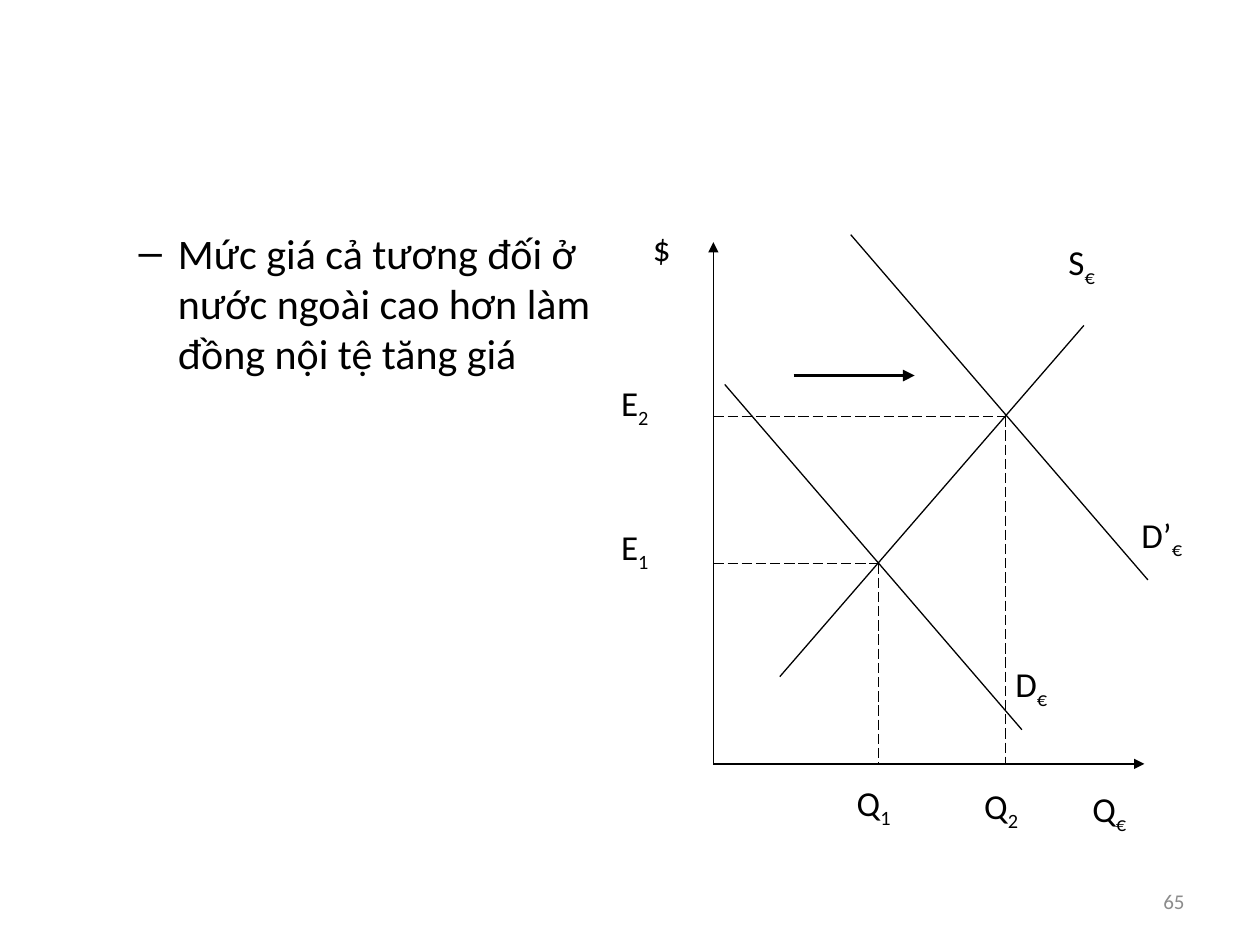
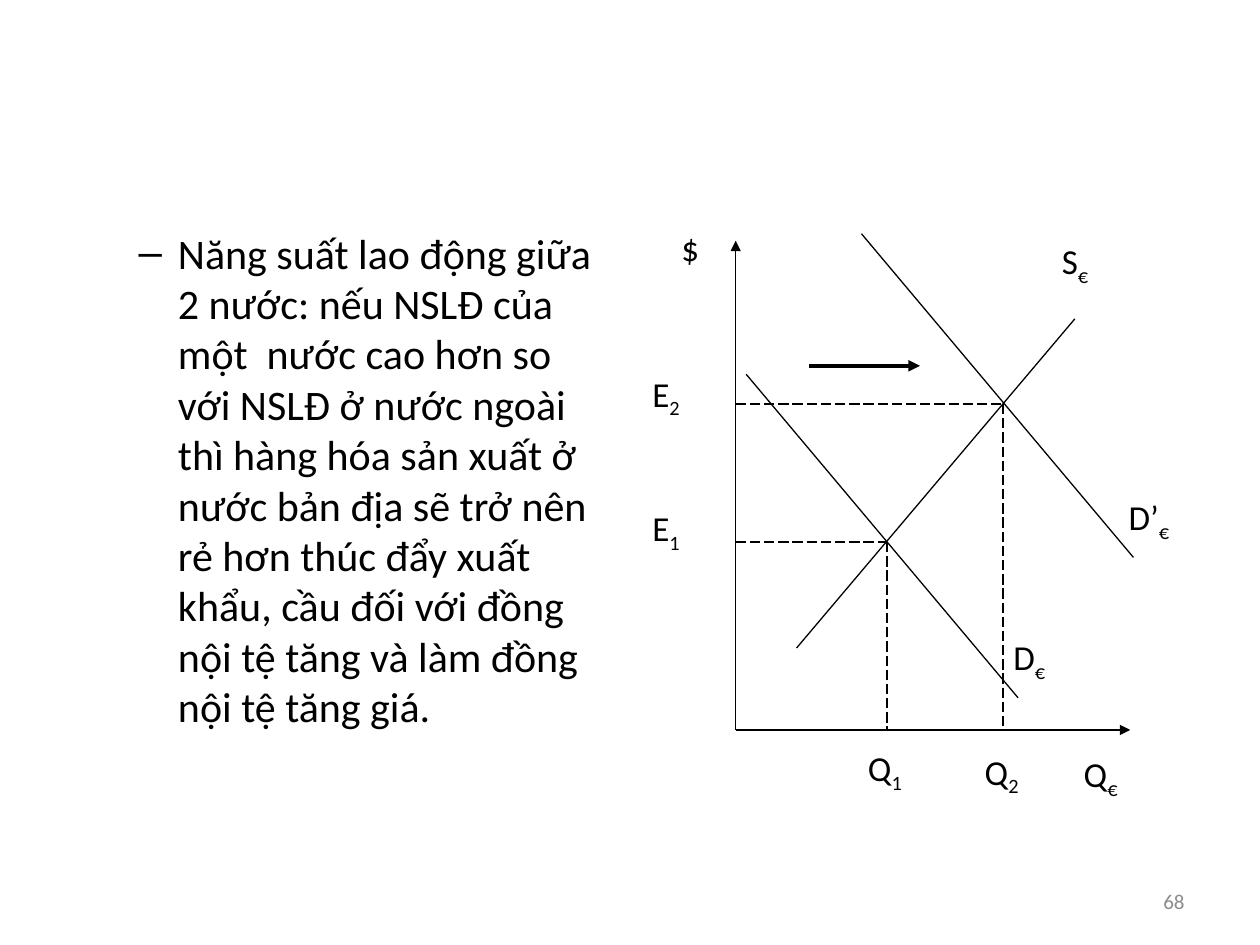
"""Build two slides on how a rise in euro demand moves the exchange rate."""
from lxml.etree import SubElement
from pptx import Presentation
from pptx.dml.color import RGBColor
from pptx.enum.dml import MSO_LINE
from pptx.enum.shapes import MSO_CONNECTOR, MSO_SHAPE
from pptx.enum.text import MSO_ANCHOR as Anchor, MSO_AUTO_SIZE, PP_ALIGN as Align
from pptx.oxml.ns import qn
from pptx.util import Cm, Pt

INK, PAPER, GREY = "000000", "FFFFFF", "8C8C8C"
TOP = 4.45
FULL_WIDTH, FULL_HEIGHT = 12.27, 13.41
LABEL_WIDTH, LABEL_HEIGHT = 1.78, 2.11

AXIS_X, AXIS_Y = 2.11, 10.95
Q1, E1 = 5.44, 6.91
Q2, E2 = 8.0, 3.94
DEMAND = (2.34, 3.3, 8.33, 10.26)
SHIFT_X, SHIFT_Y = 2.54, -3.02
SHIFTED_DEMAND = tuple(v + s for v, s in zip(DEMAND, (SHIFT_X, SHIFT_Y) * 2))
SUPPLY = (3.45, 9.19, 9.58, 2.11)
SHIFT_ARROW = (3.73, 3.12, 6.17, 3.12)

LABELS = [
    ("D", "€", 7.95, 8.79, LABEL_WIDTH),
    ("Q", "€", 9.5, 11.3, LABEL_WIDTH),
    ("Q", "2", 7.32, 11.25, LABEL_WIDTH),
    ("Q", "1", 4.75, 11.18, LABEL_WIDTH),
    ("$", "", 0.64, 0, 1.17),
    ("E", "2", 0, 3.12, 1.9),
    ("S", "€", 9.02, 0.28, LABEL_WIDTH),
    ("E", "1", 0, 6.02, 1.88),
    ("D’", "€", 10.49, 5.77, LABEL_WIDTH),
]

SLIDES = [
    ("Mức giá cả tương đối ở nước ngoài cao hơn làm đồng nội tệ tăng giá",
     "65", (12.27, FULL_WIDTH, FULL_HEIGHT)),
    ("Năng suất lao động giữa 2 nước: nếu NSLĐ của một  nước cao hơn so với "
     "NSLĐ ở nước ngoài thì hàng hóa sản xuất ở nước bản địa sẽ trở nên rẻ hơn "
     "thúc đẩy xuất khẩu, cầu đối với đồng nội tệ tăng và làm đồng nội tệ tăng giá.",
     "68", (12.9, 11.23, 12.57)),
]


def colour(hex_value):
    return RGBColor.from_string(hex_value)


def apply(target, **formats):
    for name, value in formats.items():
        setattr(target, name, value)


class Deck:
    def __init__(self):
        self.presentation = Presentation()
        apply(self.presentation, slide_width=Cm(25.4), slide_height=Cm(19.05))
        self.slide = None
        self.frame = None

    def new_slide(self, frame):
        layout = self.presentation.slide_layouts[1]
        self.slide = self.presentation.slides.add_slide(layout)
        self.frame = frame
        title = self.slide.shapes.title.element
        title.getparent().remove(title)

    def point(self, x, y):
        left, width, height = self.frame
        return (Cm(left + x * width / FULL_WIDTH),
                Cm(TOP + y * height / FULL_HEIGHT))

    def styled_run(self, paragraph, text, size, ink=INK):
        run = paragraph.add_run()
        run.text = text
        apply(run.font, name="Calibri", size=Pt(size))
        run.font.color.rgb = colour(ink)
        return run

    def body(self, statement):
        body = self.slide.placeholders[1]
        apply(body, left=Cm(1.27), top=Cm(TOP), width=Cm(11.23), height=Cm(12.57))
        apply(body.text_frame, auto_size=MSO_AUTO_SIZE.NONE, word_wrap=True)
        paragraph = body.text_frame.paragraphs[0]
        paragraph.level = 1
        self.styled_run(paragraph, statement, 24)

    def page_number(self, number):
        box = self.slide.shapes.add_textbox(Cm(18.21), Cm(17.65), Cm(5.92), Cm(1.02))
        apply(box.text_frame, word_wrap=True, vertical_anchor=Anchor.MIDDLE)
        paragraph = box.text_frame.paragraphs[0]
        paragraph.alignment = Align.RIGHT
        self.styled_run(paragraph, number, 12, GREY)

    def label(self, letter, subscript, x, y, width):
        left, top = self.point(x, y)
        right, bottom = self.point(x + width, y + LABEL_HEIGHT)
        label = self.slide.shapes.add_shape(
            MSO_SHAPE.RECTANGLE, left, top, right - left, bottom - top)
        label.shadow.inherit = False
        for paint in (label.fill, label.line.fill):
            paint.solid()
            paint.fore_color.rgb = colour(PAPER)
        label.line.width = Pt(0.75)
        apply(label.text_frame, word_wrap=True, vertical_anchor=Anchor.TOP)
        paragraph = label.text_frame.paragraphs[0]
        apply(paragraph, alignment=Align.LEFT, space_after=Pt(10))
        self.styled_run(paragraph, letter, 20)
        if subscript:
            run = self.styled_run(paragraph, subscript, 20)
            run.font._element.set("baseline", "-25000")

    def line(self, x1, y1, x2, y2, width=0.75, dashed=False, arrow=False):
        line = self.slide.shapes.add_connector(
            MSO_CONNECTOR.STRAIGHT, *self.point(x1, y1), *self.point(x2, y2))
        line.line.color.rgb = colour(INK)
        line.line.width = Pt(width)
        if dashed:
            line.line.dash_style = MSO_LINE.LONG_DASH
        properties = line.element.spPr
        if arrow:
            SubElement(properties.find(qn("a:ln")), qn("a:tailEnd"), type="triangle")
        SubElement(properties, qn("a:effectLst"))

    def exchange_diagram(self):
        for label in LABELS:
            self.label(*label)
        self.line(AXIS_X, AXIS_Y, AXIS_X, 0.43, arrow=True)
        self.line(AXIS_X, AXIS_Y, 10.8, AXIS_Y, arrow=True)
        for curve in (DEMAND, SUPPLY, SHIFTED_DEMAND):
            self.line(*curve)
        for quantity, rate in ((Q1, E1), (Q2, E2)):
            self.line(AXIS_X, rate, quantity, rate, dashed=True)
            self.line(quantity, rate, quantity, AXIS_Y, dashed=True)
        self.line(*SHIFT_ARROW, width=2.25, arrow=True)


def main():
    deck = Deck()
    for statement, number, frame in SLIDES:
        deck.new_slide(frame)
        deck.body(statement)
        deck.page_number(number)
        deck.exchange_diagram()
    deck.presentation.save("out.pptx")


if __name__ == "__main__":
    main()
